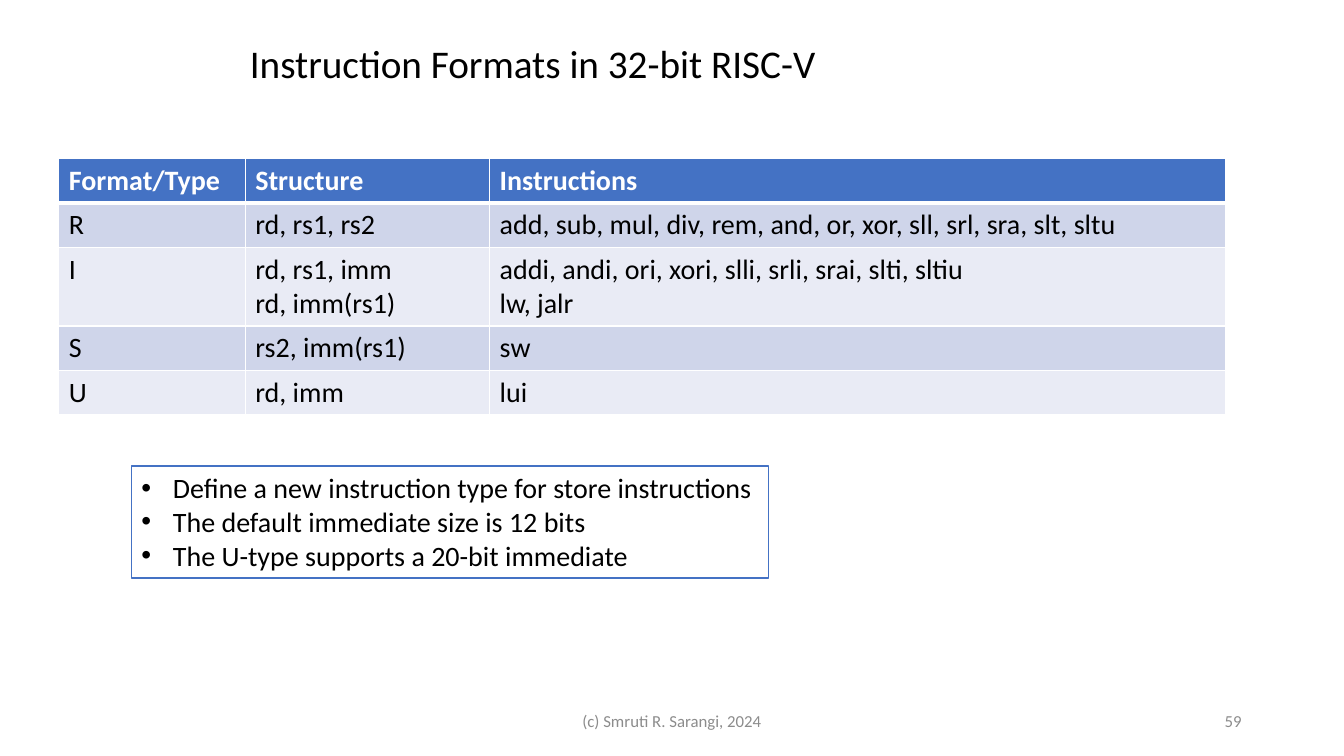
from dataclasses import dataclass

from lxml import etree
from pptx import Presentation
from pptx.dml.color import RGBColor
from pptx.enum.shapes import MSO_SHAPE
from pptx.enum.text import MSO_ANCHOR, MSO_AUTO_SIZE, PP_ALIGN
from pptx.oxml.ns import qn
from pptx.util import Pt

RECT = MSO_SHAPE.RECTANGLE
TOP, MIDDLE = MSO_ANCHOR.TOP, MSO_ANCHOR.MIDDLE
LEFT, CENTER, RIGHT = PP_ALIGN.LEFT, PP_ALIGN.CENTER, PP_ALIGN.RIGHT
NO_FIT, GROW = MSO_AUTO_SIZE.NONE, MSO_AUTO_SIZE.SHAPE_TO_FIT_TEXT

BLACK = RGBColor(0x00, 0x00, 0x00)
WHITE = RGBColor(0xFF, 0xFF, 0xFF)
GREY = RGBColor(0x8C, 0x8C, 0x8C)
BLUE = RGBColor(0x44, 0x72, 0xC4)
BAND_DARK = RGBColor(0xCF, 0xD5, 0xEA)
BAND_LIGHT = RGBColor(0xE9, 0xEB, 0xF5)

BODY_SIZE = 20
BULLET_INDENT = 22.5
COLUMN_WIDTHS = (133.2, 174.6, 526)
ROW_HEIGHT, LINE_HEIGHT = 31.2, 24

# A line feed starts a new paragraph, a vertical tab a new line
ROWS = (
    ("Format/Type", "Structure", "Instructions"),
    ("R", "rd, rs1, rs2",
     "add, sub, mul, div, rem, and, or, xor, sll, srl, sra, slt, sltu"),
    ("I", "rd, rs1, imm\nrd, imm(rs1)",
     "addi, andi, ori, xori, slli, srli, srai, slti, sltiu\vlw, jalr"),
    ("S", "rs2, imm(rs1)", "sw"),
    ("U", "rd, imm", "lui"),
)
NOTES = """Define a new instruction type for store instructions
The default immediate size is 12 bits
The U-type supports a 20-bit immediate"""


@dataclass
class Label:
    text: str
    left: float
    top: float
    width: float
    height: float
    size: float = 12
    color: RGBColor = GREY
    align: PP_ALIGN = LEFT
    anchor: MSO_ANCHOR = MIDDLE
    wrap: bool = True
    fit: MSO_AUTO_SIZE = NO_FIT


LABELS = (
    Label("Instruction Formats in 32-bit RISC-V", 171.4, 24.5, 423.4, 41.2,
          28, BLACK, anchor=TOP, wrap=False, fit=GROW),
    Label("(c) Smruti R. Sarangi, 2024", 318, 500.5, 324, 28.8, align=CENTER),
    Label("59", 678, 500.5, 216, 28.8, align=RIGHT),
)


def write(tf, text: str, size: float, color: RGBColor,
          bold: bool = False, align: PP_ALIGN = LEFT) -> None:
    tf.text = text
    font_format = {"name": "Calibri", "size": Pt(size), "bold": bold}
    for p in tf.paragraphs:
        p.alignment = align
        for r in p.runs:
            for key, value in font_format.items():
                setattr(r.font, key, value)
            r.font.color.rgb = color


def add_label(s, label: Label) -> None:
    box = s.shapes.add_textbox(Pt(label.left), Pt(label.top),
                               Pt(label.width), Pt(label.height))
    tf = box.text_frame
    frame_format = {"word_wrap": label.wrap, "auto_size": label.fit,
                    "vertical_anchor": label.anchor}
    for key, value in frame_format.items():
        setattr(tf, key, value)
    write(tf, label.text, label.size, label.color, align=label.align)


def add_borders(cell, widths: dict[str, float]) -> None:
    tc_pr = cell._tc.get_or_add_tcPr()
    for side, width in widths.items():
        ln = etree.SubElement(tc_pr, qn(f"a:ln{side}"), w=str(Pt(width)))
        fill = etree.SubElement(ln, qn("a:solidFill"))
        etree.SubElement(fill, qn("a:srgbClr"), val=str(WHITE))


def add_format_table(s) -> None:
    frame = s.shapes.add_table(len(ROWS), len(COLUMN_WIDTHS), Pt(42), Pt(113.2),
                               Pt(sum(COLUMN_WIDTHS)), Pt(ROW_HEIGHT * len(ROWS)))
    table = frame.table
    for column, width in zip(table.columns, COLUMN_WIDTHS):
        column.width = Pt(width)
    for i, row in enumerate(ROWS):
        header = i == 0
        extra_lines = max(text.count("\n") for text in row)
        table.rows[i].height = Pt(ROW_HEIGHT + extra_lines * LINE_HEIGHT)
        fill = BLUE if header else BAND_DARK if i % 2 else BAND_LIGHT
        borders = {"L": 1, "R": 1, "T": 3 if i == 1 else 1, "B": 3 if header else 1}
        for j, text in enumerate(row):
            cell = table.cell(i, j)
            add_borders(cell, borders)
            cell.fill.solid()
            cell.fill.fore_color.rgb = fill
            write(cell.text_frame, text, BODY_SIZE,
                  WHITE if header else BLACK, bold=header)


def add_notes_box(s) -> None:
    box = s.shapes.add_shape(RECT, Pt(93.9), Pt(332.8), Pt(455), Pt(80))
    box.shadow.inherit = False
    box.fill.solid()
    box.fill.fore_color.rgb = WHITE
    box.line.color.rgb = BLUE
    box.line.width = Pt(1)
    tf = box.text_frame
    frame_format = {"word_wrap": False, "auto_size": GROW, "vertical_anchor": TOP}
    for key, value in frame_format.items():
        setattr(tf, key, value)
    write(tf, NOTES, BODY_SIZE, BLACK)
    for p in tf.paragraphs:
        p_pr = p._p.get_or_add_pPr()
        p_pr.set("marL", str(Pt(BULLET_INDENT)))
        p_pr.set("indent", str(-Pt(BULLET_INDENT)))
        etree.SubElement(p_pr, qn("a:buFont"), typeface="Arial")
        etree.SubElement(p_pr, qn("a:buChar"), char="•")


def main() -> None:
    prs = Presentation()
    prs.slide_width, prs.slide_height = Pt(960), Pt(540)
    s = prs.slides.add_slide(prs.slide_layouts[6])

    # Instruction formats and remarks
    add_format_table(s)
    add_notes_box(s)

    # Title and footer
    for label in LABELS:
        add_label(s, label)

    prs.save("out.pptx")


if __name__ == "__main__":
    main()
